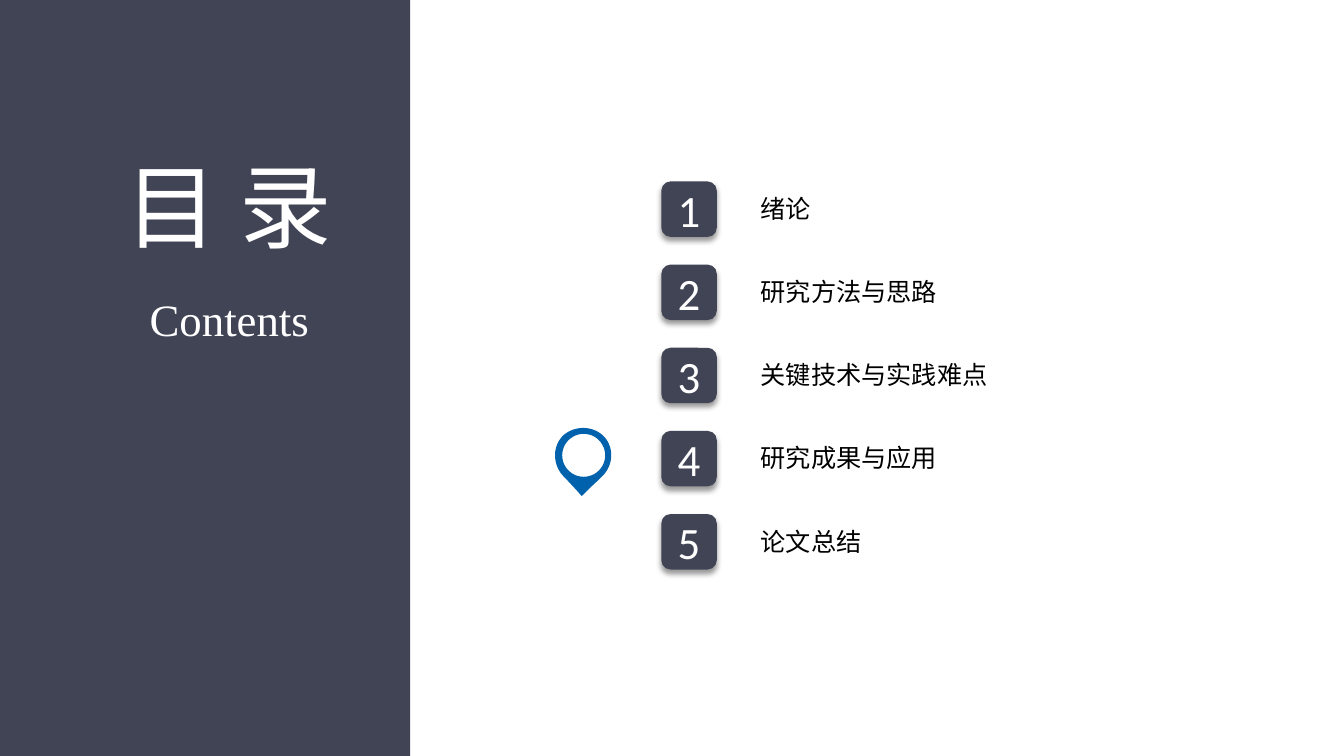
import pptx
import pptx.util
import pptx.dml.color
import pptx.enum.shapes
import pptx.enum.text
import pptx.oxml
import pptx.oxml.ns

Pt = pptx.util.Pt
RGBColor = pptx.dml.color.RGBColor
Shape = pptx.enum.shapes.MSO_SHAPE
Anchor = pptx.enum.text.MSO_ANCHOR

SLATE = RGBColor(0x41, 0x44, 0x55)
BLUE = RGBColor(0x00, 0x62, 0xAC)
WHITE = RGBColor(0xFF, 0xFF, 0xFF)
BLACK = RGBColor(0x00, 0x00, 0x00)
CHINESE_FONT = "Noto Sans CJK SC"

TOPICS = ["绪论", "研究方法与思路", "关键技术与实践难点", "研究成果与应用", "论文总结"]
CURRENT_TOPIC = 3
ROW_PITCH = 59.4
BADGE_SIZE = 39.6
INSET = 3.6

BADGE_SHADOW = (
    f'<a:effectLst {pptx.oxml.ns.nsdecls("a")}>'
    '<a:outerShdw blurRad="50800" dist="38100" dir="5400000" algn="t" rotWithShape="0">'
    '<a:srgbClr val="000000"><a:alpha val="40000"/></a:srgbClr>'
    '</a:outerShdw></a:effectLst>'
)

# Pin outline: start point, then Bezier segments, in points from the pin's corner
PIN_START = (34.2, 6.3)
PIN_CURVES = [
    ((41.2, 14.2), (40.5, 26.4), (32.6, 33.9)),
    ((28.3, 38.2), (23.3, 42.5), (18.5, 47.6)),
    ((14, 42.5), (9.5, 37.7), (5, 33)),
    ((-2, 24.8), (-2, 12.4), (5.9, 5)),
    ((14.4, -2), (26.8, -1.4), PIN_START),
]


def write_text(holder, text, size, color, font=CHINESE_FONT, anchor=Anchor.TOP,
               inset=INSET, wrap=False):
    frame = holder.text_frame
    frame.auto_size = pptx.enum.text.MSO_AUTO_SIZE.NONE
    frame.word_wrap = wrap
    frame.vertical_anchor = anchor
    frame.margin_left = frame.margin_right = Pt(inset)
    frame.margin_top = frame.margin_bottom = Pt(inset)
    paragraph = frame.paragraphs[0]
    paragraph.alignment = pptx.enum.text.PP_ALIGN.CENTER
    paragraph.space_before = Pt(0)
    run = paragraph.add_run()
    run.text = text
    run.font.size = Pt(size)
    run.font.color.rgb = color
    run.font.name = font
    east_asian = pptx.oxml.parse_xml(
        f'<a:ea {pptx.oxml.ns.nsdecls("a")} typeface="{font}"/>')
    run.font.fill  # the fill and Latin font precede the East Asian font
    run._r.get_or_add_rPr().append(east_asian)


def place(holder, left, top, width, height):
    holder.left, holder.top = Pt(left), Pt(top)
    holder.width, holder.height = Pt(width), Pt(height)


def paint(shape, fill, line=None):
    shape.shadow.inherit = False
    shape.fill.solid()
    shape.fill.fore_color.rgb = fill
    if line is None:
        shape.line.fill.background()
    else:
        shape.line.color.rgb = line
        shape.line.width = Pt(1)


def add_filled(slide, kind, left, top, width, height, fill, line=None):
    shape = slide.shapes.add_shape(kind, Pt(left), Pt(top), Pt(width), Pt(height))
    paint(shape, fill, line)
    return shape


def add_heading_panel(slide, left, top, width, height):
    panel = add_filled(slide, Shape.RECTANGLE, left, top, width, height, SLATE)
    heading, subheading = slide.shapes.title, slide.placeholders[1]
    place(heading, left + 84.2, top + 103, 158.4, 99.4)
    write_text(heading, "目 录", 66, WHITE)
    place(subheading, left + 103, top + 204.5, 121.7, 43.2)
    write_text(subheading, "Contents", 32, WHITE, font="Times New Roman")
    # Bring both headings in front of the panel
    panel.element.addnext(heading.element)
    heading.element.addnext(subheading.element)


def add_topic(slide, number, topic, left, top):
    # Numbered badge
    badge = add_filled(slide, Shape.ROUNDED_RECTANGLE, left, top,
                       BADGE_SIZE, BADGE_SIZE, SLATE)
    properties = badge.element.spPr
    properties.remove(properties.find(pptx.oxml.ns.qn("a:effectLst")))
    properties.append(pptx.oxml.parse_xml(BADGE_SHADOW))
    write_text(badge, str(number), 32, WHITE, font="Calibri",
               anchor=Anchor.MIDDLE, inset=0)
    # Topic name, as wide as its full-width characters
    label = slide.shapes.add_textbox(Pt(left + 67.4), Pt(top + 4.9),
                                     Pt(18 * len(topic) + 2 * INSET), Pt(32.4))
    write_text(label, topic, 18, BLACK)


def bezier(start, first, second, end, steps=16):
    for step in range(1, steps + 1):
        t = step / steps
        u = 1 - t
        yield tuple(u**3 * a + 3 * u * u * t * b + 3 * u * t * t * c + t**3 * d
                    for a, b, c, d in zip(start, first, second, end))


def add_pin(slide, left, top):
    outline = []
    start = PIN_START
    for curve in PIN_CURVES:
        outline.extend(bezier(start, *curve))
        start = curve[-1]
    points = [(Pt(left + x), Pt(top + y)) for x, y in outline]
    builder = slide.shapes.build_freeform(*points[-1])
    builder.add_line_segments(points, close=True)
    paint(builder.convert_to_shape(), BLUE, BLUE)
    add_filled(slide, Shape.OVAL, left + 4, top + 3.3, 31.7, 31.7, WHITE, BLUE)


def add_topic_list(slide, left, top):
    for index, topic in enumerate(TOPICS):
        add_topic(slide, index + 1, topic, left, top + index * ROW_PITCH)
    add_pin(slide, left - 75.3, top + CURRENT_TOPIC * ROW_PITCH - 1.7)


def main():
    deck = pptx.Presentation()
    deck.slide_width, deck.slide_height = Pt(960), Pt(540)
    contents = deck.slides.add_slide(deck.slide_layouts[0])
    add_heading_panel(contents, 0, 0, 293, 540)
    add_topic_list(contents, 472.4, 129.6)
    deck.save("out.pptx")


if __name__ == "__main__":
    main()
